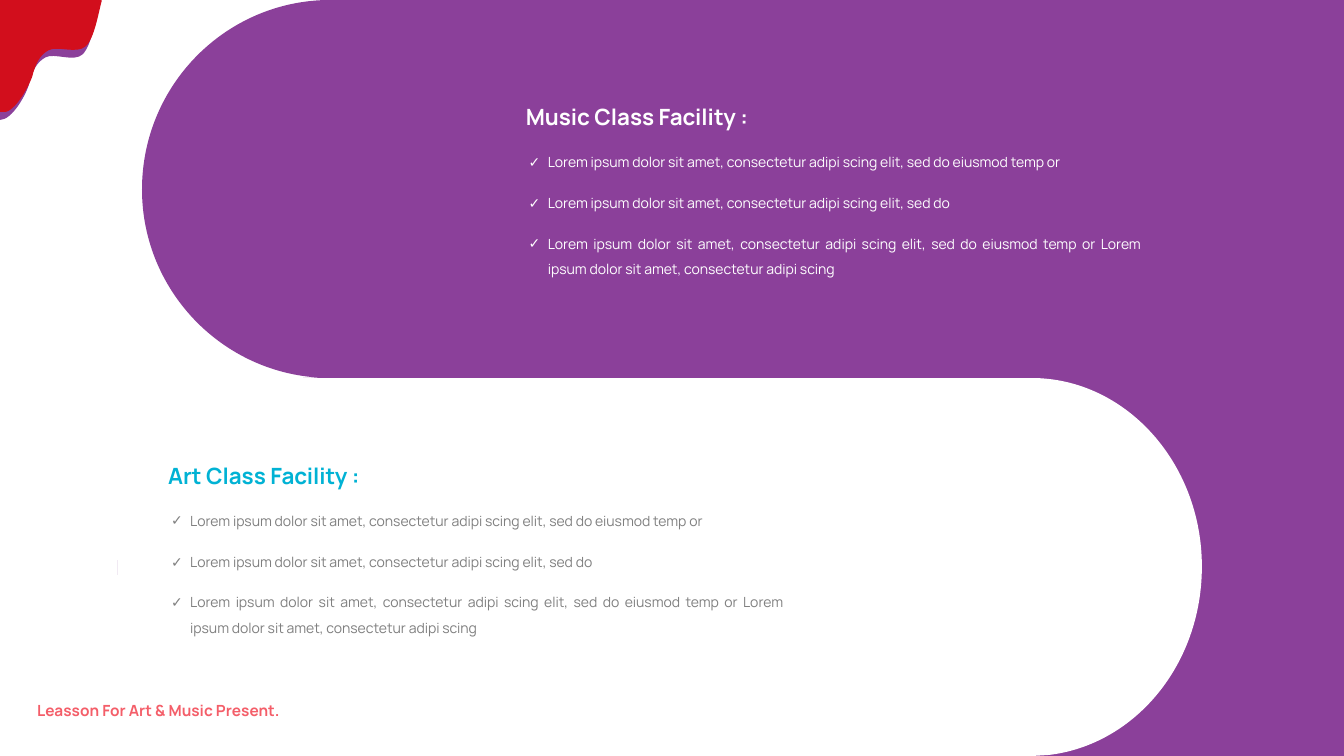
from dataclasses import dataclass

from lxml import etree
from pptx import Presentation
from pptx.dml.color import RGBColor
from pptx.enum.text import MSO_AUTO_SIZE, PP_ALIGN
from pptx.oxml.ns import qn
from pptx.shapes.autoshape import Shape
from pptx.slide import Slide
from pptx.text.text import _Paragraph
from pptx.util import Emu, Pt

LEFT, JUSTIFY = PP_ALIGN.LEFT, PP_ALIGN.JUSTIFY
GROW = MSO_AUTO_SIZE.SHAPE_TO_FIT_TEXT
PX = 9144  # 100 px to the inch
WIDTH, HEIGHT, MIDDLE = 1334, 750, 375
FONT = "Manrope"
PURPLE, RED, WHITE = "8B409A", "D20E1C", "FFFFFF"
CYAN, GREY, CORAL = "01B2D4", "7F7F7F", "F45E69"
BULLET_INDENT = 19

# A segment of two numbers is a line, one of six is a cubic curve.
Segment = tuple[int, ...]
Contour = list[Segment]


@dataclass(frozen=True)
class Backdrop:
    color: str
    contours: list[Contour]


@dataclass(frozen=True)
class Facility:
    heading: str
    left: int
    top: int
    heading_color: str
    item_color: str


BACKDROPS = [
    # Purple band with two rounded left ends
    Backdrop(PURPLE, [
        [(304, MIDDLE), (WIDTH, MIDDLE), (WIDTH, HEIGHT), (304, HEIGHT),
         (201, 750, 117, 666, 117, 563), (117, 459, 201, 375, 304, 375)],
        [(328, 0), (WIDTH, 0), (WIDTH, MIDDLE), (328, MIDDLE),
         (225, 375, 141, 291, 141, 188), (141, 84, 225, 0, 328, 0)],
    ]),
    # White panel with a rounded right end
    Backdrop(WHITE, [
        [(117, MIDDLE), (1024, MIDDLE), (1117, 375, 1193, 459, 1193, 562),
         (1193, 660, 1126, 739, 1041, 749), (1024, HEIGHT), (117, HEIGHT)],
    ]),
    # Corner splash and its purple edge
    Backdrop(PURPLE, [
        [(0, 8), (98, 8), (95, 18, 91, 45, 82, 54), (73, 62, 54, 52, 45, 57),
         (36, 62, 32, 71, 29, 83), (26, 94, 12, 119, 0, 119)],
    ]),
    Backdrop(RED, [
        [(0, 111), (0, 0), (101, 0), (101, 1), (98, 11, 94, 38, 85, 46),
         (76, 54, 57, 45, 48, 50), (39, 55, 35, 64, 32, 76),
         (28, 87, 13, 115, 1, 111)],
    ]),
]

FACILITIES = [
    Facility("Music Class Facility :", 512, 84, WHITE, WHITE),
    Facility("Art Class Facility :", 157, 440, CYAN, GREY),
]
LOREM = "Lorem ipsum dolor sit amet, consectetur adipi scing"
# Offset below the heading, height, text
ITEMS = [
    (55, 35, f"{LOREM} elit, sed do eiusmod temp or"),
    (96, 35, f"{LOREM} elit, sed do"),
    (136, 60, f"{LOREM} elit, sed do eiusmod temp or {LOREM}"),
]


def rgb(color: str) -> RGBColor:
    return RGBColor.from_string(color)


def px(length: int) -> Emu:
    return Emu(length * PX)


def bend_curves(shape: Shape, contours: list[Contour]) -> None:
    """Swap the straight stand-ins of curved segments for cubic curves."""
    left, top = round(shape.left / PX), round(shape.top / PX)
    segments = [segment for contour in contours for segment in contour[1:]]
    lines = list(shape._element.iter(qn("a:lnTo")))
    for line, segment in zip(lines, segments):
        if len(segment) == 2:
            continue
        curve = etree.Element(qn("a:cubicBezTo"))
        for x, y in zip(segment[::2], segment[1::2]):
            etree.SubElement(curve, qn("a:pt"), x=str(x - left), y=str(y - top))
        line.getparent().replace(line, curve)


def add_backdrop(slide: Slide, backdrop: Backdrop) -> None:
    first, *others = [[segment[-2:] for segment in contour]
                      for contour in backdrop.contours]
    builder = slide.shapes.build_freeform(*first[0], scale=PX)
    builder.add_line_segments(first[1:], close=True)
    for corners in others:
        builder.move_to(*corners[0])
        builder.add_line_segments(corners[1:], close=True)
    shape = builder.convert_to_shape()
    bend_curves(shape, backdrop.contours)
    shape.shadow.inherit = False
    shape.fill.solid()
    shape.fill.fore_color.rgb = rgb(backdrop.color)
    shape.line.fill.background()


def add_check(paragraph: _Paragraph, color: str) -> None:
    properties = paragraph._p.get_or_add_pPr()
    properties.set("marL", str(px(BULLET_INDENT)))
    properties.set("indent", str(px(-BULLET_INDENT)))
    bullet_color = etree.SubElement(properties, qn("a:buClr"))
    etree.SubElement(bullet_color, qn("a:srgbClr"), val=color)
    etree.SubElement(properties, qn("a:buFont"), typeface=FONT)
    etree.SubElement(properties, qn("a:buChar"), char="✓")


def add_text(slide: Slide, text: str, box: tuple[int, int, int, int],
             size: int, color: str, align: PP_ALIGN = JUSTIFY,
             bold: bool = False, checked: bool = False) -> None:
    frame = slide.shapes.add_textbox(*map(px, box)).text_frame
    frame.word_wrap = True
    frame.auto_size = GROW
    paragraph = frame.paragraphs[0]
    paragraph.text = text
    paragraph.alignment = align
    paragraph.line_spacing = 1.5
    if checked:
        add_check(paragraph, color)
    font = paragraph.font
    font.name, font.size, font.bold = FONT, Pt(size), bold
    font.color.rgb = rgb(color)


def add_facility(slide: Slide, facility: Facility) -> None:
    left, top = facility.left, facility.top
    add_text(slide, facility.heading, (left, top, 258, 50), 16,
             facility.heading_color, bold=True)
    for offset, height, text in ITEMS:
        add_text(slide, text, (left + 3, top + offset, 627, height), 10,
                 facility.item_color, checked=True)


def main() -> None:
    presentation = Presentation()
    presentation.slide_width = px(WIDTH)
    presentation.slide_height = px(HEIGHT)
    blank_layout = presentation.slide_layouts[6]
    slide = presentation.slides.add_slide(blank_layout)

    for backdrop in BACKDROPS:
        add_backdrop(slide, backdrop)
    for facility in FACILITIES:
        add_facility(slide, facility)

    # Footer line
    add_text(slide, "Leasson For Art & Music Present.", (27, 681, 375, 38),
             11, CORAL, align=LEFT, bold=True)
    presentation.save("out.pptx")


if __name__ == "__main__":
    main()
